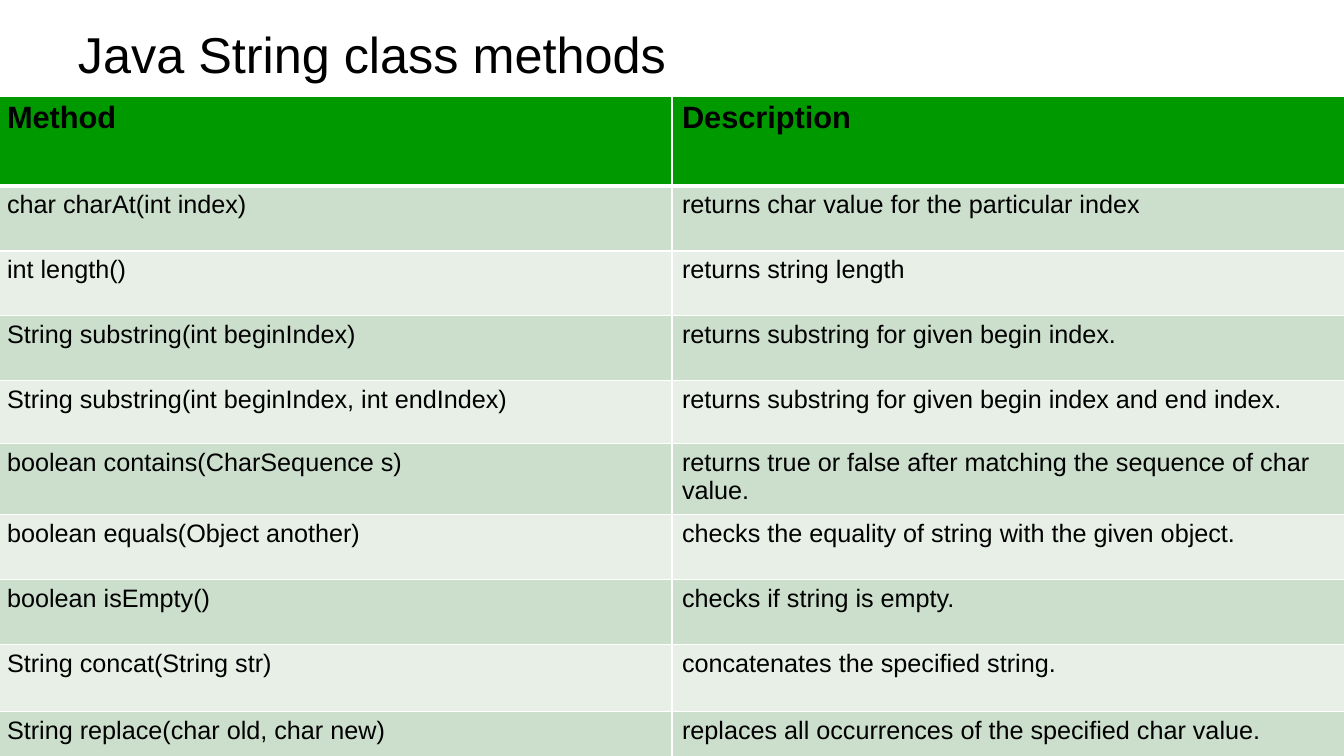
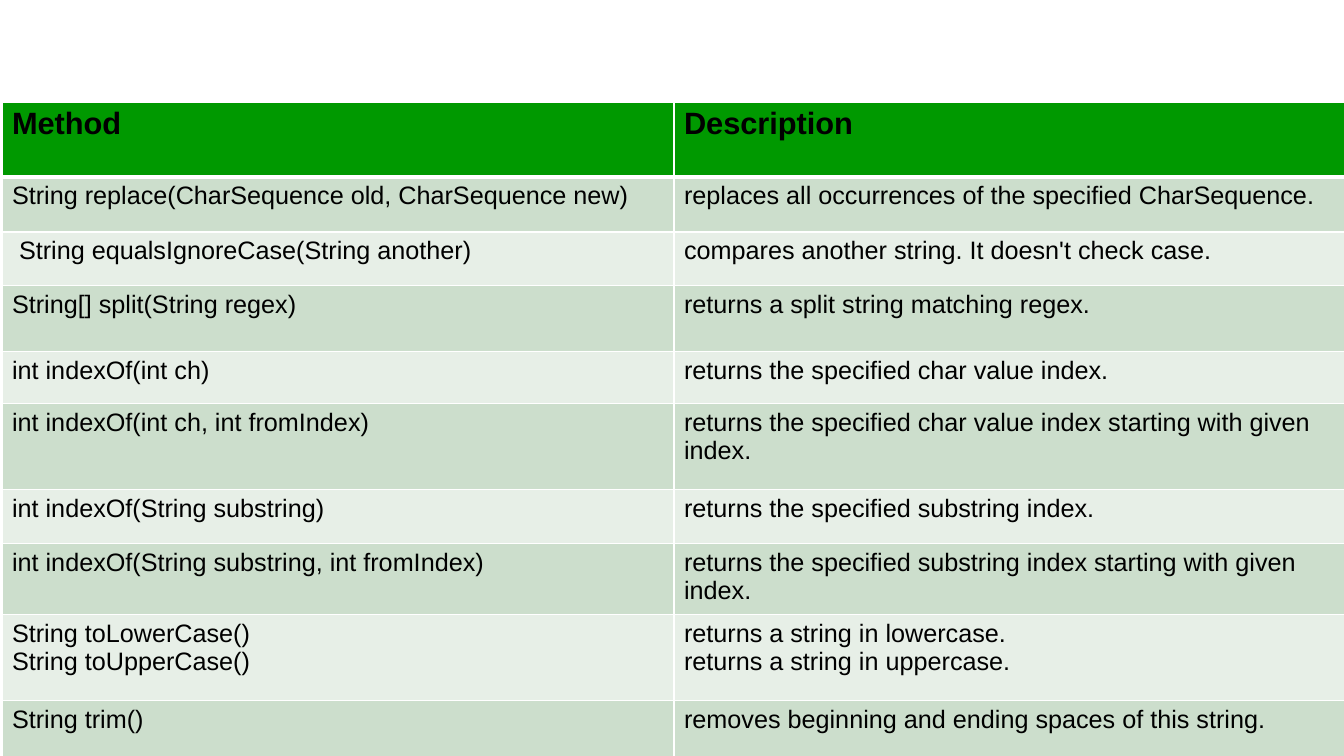
from lxml.etree import SubElement
from pptx import Presentation
from pptx.dml.color import RGBColor
from pptx.enum.text import MSO_ANCHOR
from pptx.oxml.ns import qn
from pptx.util import Pt

# Content
HEAD = ("Method", "Description")
SLIDES = [
    {
        "title": "Java String class methods",
        "at": (-3, 96), "col": 675,
        "heights": [90, 65, 65, 65, 63, 66, 65, 65, 67, 65],
        "rows": [
            ("char charAt(int index)", "returns char value for the particular index"),
            ("int length()", "returns string length"),
            ("String substring(int beginIndex)", "returns substring for given begin index."),
            ("String substring(int beginIndex, int endIndex)",
             "returns substring for given begin index and end index."),
            ("boolean contains(CharSequence s)",
             "returns true or false after matching the sequence of char value."),
            ("boolean equals(Object another)",
             "checks the equality of string with the given object."),
            ("boolean isEmpty()", "checks if string is empty."),
            ("String concat(String str)", "concatenates the specified string."),
            ("String replace(char old, char new)",
             "replaces all occurrences of the specified char value."),
        ],
    },
    {
        "title": None,
        "at": (2, 102), "col": 672,
        "heights": [75, 55, 54, 66, 52, 86, 54, 66, 86, 86],
        "rows": [
            ("String replace(CharSequence old, CharSequence new)",
             "replaces all occurrences of the specified CharSequence."),
            (" String equalsIgnoreCase(String another)",
             "compares another string. It doesn't check case."),
            ("String[] split(String regex)", "returns a split string matching regex."),
            ("int indexOf(int ch)", "returns the specified char value index."),
            ("int indexOf(int ch, int fromIndex)",
             "returns the specified char value index starting with given index."),
            ("int indexOf(String substring)", "returns the specified substring index."),
            ("int indexOf(String substring, int fromIndex)",
             "returns the specified substring index starting with given index."),
            ("String toLowerCase()\nString toUpperCase()",
             "returns a string in lowercase.\nreturns a string in uppercase."),
            ("String trim()", "removes beginning and ending spaces of this string."),
        ],
    },
]

# Shared look
WIDE, HIGH = 1344, 756
TITLE_BOX = (68, 21, 1210, 65)
COLORS = {"ink": "000000", "head": "009900", "odd": "CCDECC", "even": "E7EFE7",
          "line": "FFFFFF"}
FONTS = {
    "title": {"name": "Arial", "size": Pt(36), "bold": False},
    "head": {"name": "Arial", "size": Pt(22), "bold": True},
    "body": {"name": "Arial", "size": Pt(18), "bold": False},
}
THIN, THICK = Pt(1), Pt(3)


def px(n):
    return round(n * 12192000 / WIDE)


def write(frame, text, style):
    frame.text = text
    for para in frame.paragraphs:
        for run in para.runs:
            for key, value in FONTS[style].items():
                setattr(run.font, key, value)
            run.font.color.rgb = RGBColor.from_string(COLORS["ink"])


def border(cell, top, bottom):
    props = cell._tc.get_or_add_tcPr()
    edges = {"a:lnL": THIN, "a:lnR": THIN, "a:lnT": top, "a:lnB": bottom}
    for spot, (tag, width) in enumerate(edges.items()):
        line = SubElement(props, qn(tag), w=str(width))
        fill = SubElement(line, qn("a:solidFill"))
        SubElement(fill, qn("a:srgbClr"), val=COLORS["line"])
        props.insert(spot, line)


def add_title(slide, text):
    frame = slide.shapes.add_textbox(*map(px, TITLE_BOX)).text_frame
    frame.word_wrap = True
    frame.vertical_anchor = MSO_ANCHOR.MIDDLE
    write(frame, text, "title")


def add_grid(slide, data):
    rows = [HEAD, *data["rows"]]
    left, top = data["at"]
    size = data["col"] * len(HEAD), sum(data["heights"])
    grid = slide.shapes.add_table(len(rows), len(HEAD),
                                  *map(px, (left, top, *size))).table
    for col in grid.columns:
        col.width = px(data["col"])
    for r, (texts, height) in enumerate(zip(rows, data["heights"])):
        grid.rows[r].height = px(height)
        shade = "head" if r == 0 else ("even", "odd")[r % 2]
        for c, text in enumerate(texts):
            cell = grid.cell(r, c)
            write(cell.text_frame, text, "body" if r else "head")
            cell.fill.solid()
            cell.fill.fore_color.rgb = RGBColor.from_string(COLORS[shade])
            # The heavy rule lies between the header and the first row
            border(cell, THICK if r == 1 else THIN, THICK if r == 0 else THIN)


def main():
    deck = Presentation()
    deck.slide_width, deck.slide_height = px(WIDE), px(HIGH)
    for data in SLIDES:
        slide = deck.slides.add_slide(deck.slide_layouts[6])
        if data["title"]:
            add_title(slide, data["title"])
        add_grid(slide, data)
    deck.save("out.pptx")


if __name__ == "__main__":
    main()
